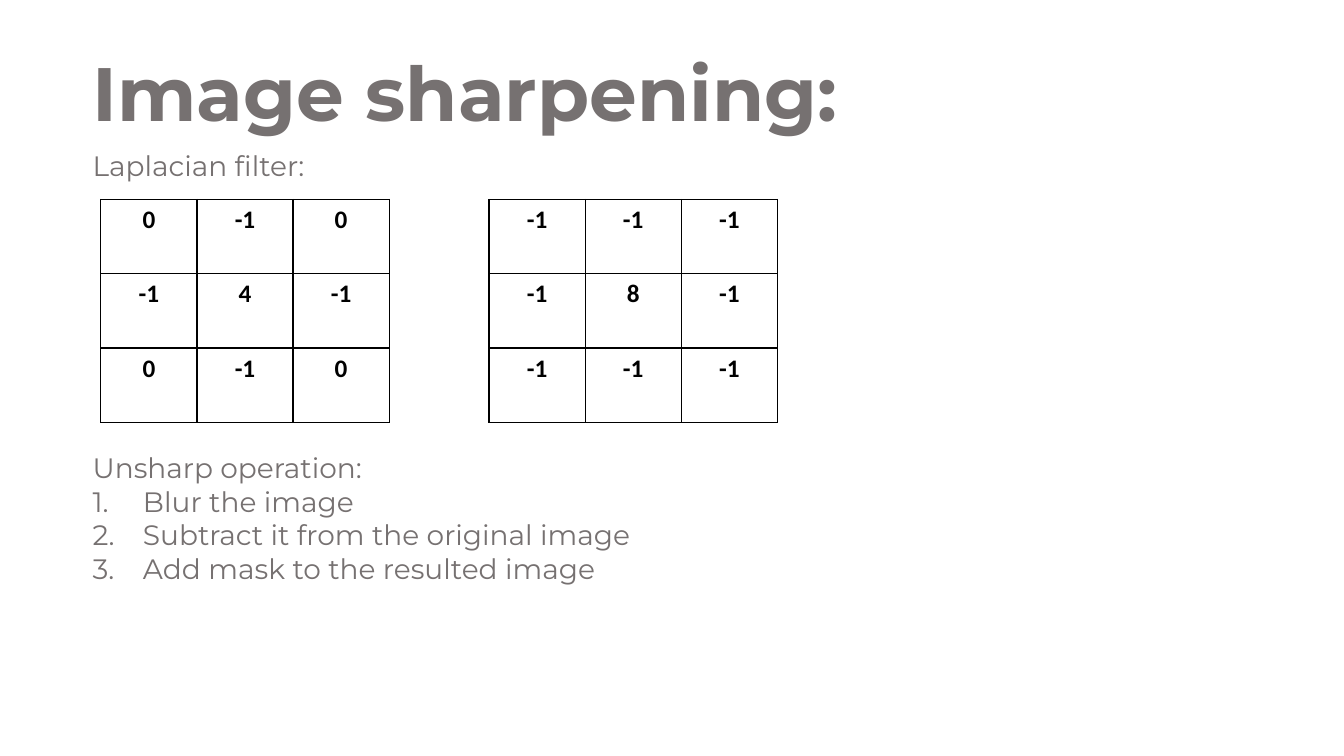
from lxml import etree
from pptx import Presentation
from pptx import util as u
from pptx.dml.color import RGBColor
from pptx.enum import text
from pptx.oxml import ns

COLORS = {"body": "767171", "grid": "000000", "halo": "FFFFFF"}
LAPLACIAN_KERNELS = [
    [[0, -1, 0], [-1, 4, -1], [0, -1, 0]],
    [[-1, -1, -1], [-1, 8, -1], [-1, -1, -1]],
]
UNSHARP_STEPS = [
    "Blur the image",
    "Subtract it from the original image",
    "Add mask to the resulted image",
]


def add_line(parent, tag, points, color):
    """Append a solid line element to text or cell properties."""
    line = etree.SubElement(parent, ns.qn(tag), w=str(u.Pt(points)))
    fill = etree.SubElement(line, ns.qn("a:solidFill"))
    etree.SubElement(fill, ns.qn("a:srgbClr"), val=COLORS[color])
    return line


class SlideBuilder:
    """Holds the text style and the slide being built."""

    font = "Montserrat"

    def __init__(self, deck):
        """Add a title-only slide to the deck."""
        self.slide = deck.slides.add_slide(deck.slide_layouts[5])

    def style(self, paragraph, size, color="body", bold=False, font=None):
        """Set the font of a whole paragraph."""
        face = paragraph.font
        face.name, face.size, face.bold = font or self.font, u.Pt(size), bold
        face.color.rgb = RGBColor.from_string(COLORS[color])

    def title(self, wording, left, top, width, height):
        """Place and format the title with its thin halo."""
        heading = self.slide.shapes.title
        heading.left, heading.top = u.Inches(left), u.Inches(top)
        heading.width, heading.height = u.Inches(width), u.Inches(height)
        frame = heading.text_frame
        frame.text = wording
        frame.word_wrap = False
        frame.auto_size = text.MSO_AUTO_SIZE.SHAPE_TO_FIT_TEXT
        frame.vertical_anchor = text.MSO_ANCHOR.TOP
        paragraph = frame.paragraphs[0]
        paragraph.alignment = text.PP_ALIGN.LEFT
        self.style(paragraph, 54, bold=True)
        add_line(paragraph.runs[0]._r.get_or_add_rPr(), "a:ln", 1.5, "halo")

    def body(self, heading, left, top, width, height, steps=()):
        """Add a heading line followed by numbered steps."""
        box = self.slide.shapes.add_textbox(
            u.Inches(left), u.Inches(top), u.Inches(width), u.Inches(height))
        frame = box.text_frame
        frame.word_wrap = True
        frame.text = "\n".join([heading, *steps])
        for paragraph in frame.paragraphs:
            self.style(paragraph, 20)
        for step in frame.paragraphs[1:]:
            properties = step._p.get_or_add_pPr()
            properties.set("marL", str(u.Inches(0.5)))
            properties.set("indent", str(u.Inches(-0.5)))
            numbering = etree.Element(ns.qn("a:buAutoNum"), type="arabicPeriod")
            properties.insert(0, numbering)

    def kernel(self, weights, left, top, width, height):
        """Add a filter kernel as a bordered table."""
        table = self.slide.shapes.add_table(
            len(weights), len(weights[0]), u.Inches(left), u.Inches(top),
            u.Inches(width), u.Inches(height)).table
        table.first_row = table.horz_banding = False
        for row, values in enumerate(weights):
            for column, weight in enumerate(values):
                cell = table.cell(row, column)
                cell.text = str(weight)
                paragraph = cell.text_frame.paragraphs[0]
                paragraph.alignment = text.PP_ALIGN.CENTER
                self.style(paragraph, 18, "grid", True, "Calibri")
                properties = cell._tc.get_or_add_tcPr()
                for side in "LRTB":
                    add_line(properties, f"a:ln{side}", 1, "grid")
                cell.fill.background()


def main():
    """Build the image sharpening slide."""
    deck = Presentation()
    deck.slide_width, deck.slide_height = u.Inches(13.33), u.Inches(7.5)
    builder = SlideBuilder(deck)
    builder.title("Image sharpening:", 0.82, 0.41, 7.9, 1.01)
    builder.body("Laplacian filter:", 0.82, 1.42, 11.9, 0.44)
    builder.body("Unsharp operation:", 0.82, 4.42, 11.9, 1.44, UNSHARP_STEPS)
    for index, weights in enumerate(LAPLACIAN_KERNELS):
        builder.kernel(weights, 1 + index * 3.85, 1.98, 2.86, 2.21)
    deck.save("out.pptx")


main()
